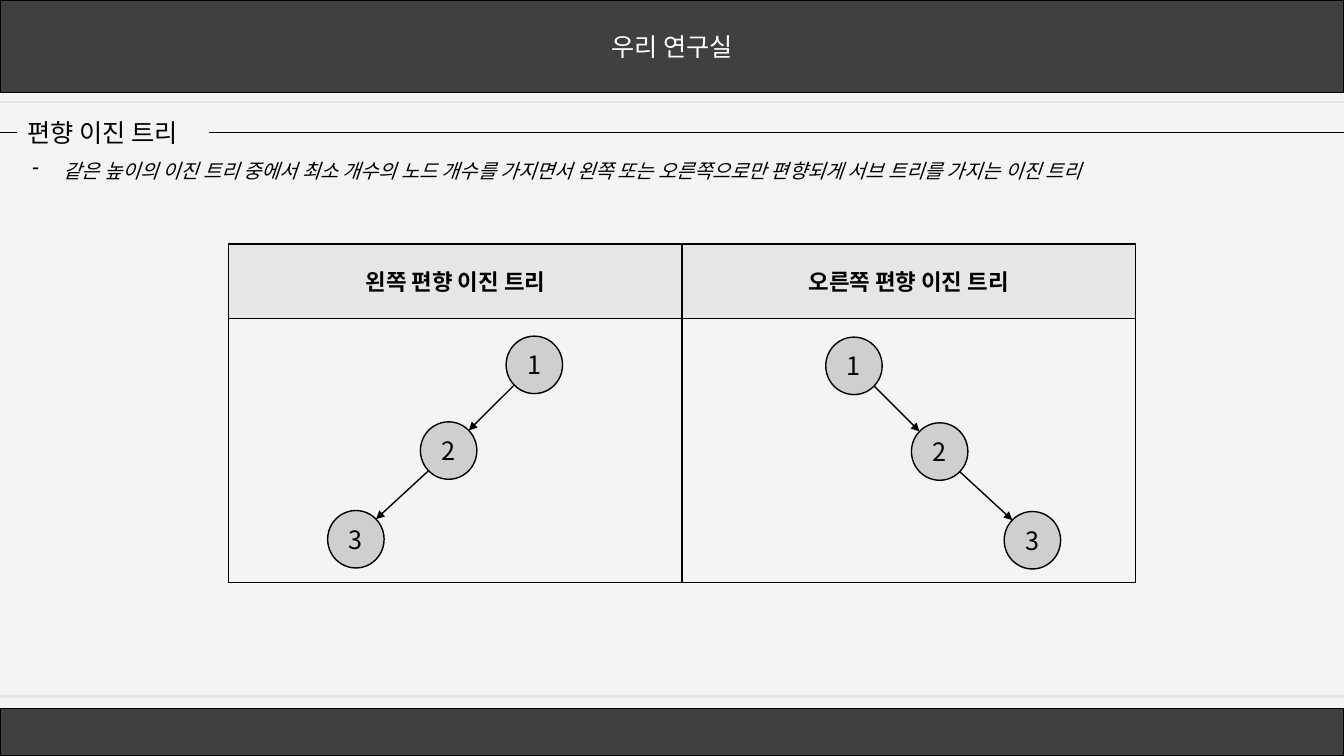
from itertools import pairwise

from lxml.etree import SubElement
from pptx import Presentation
from pptx.dml.color import RGBColor
from pptx.enum.shapes import MSO_CONNECTOR, MSO_SHAPE
from pptx.enum.text import MSO_ANCHOR, MSO_AUTO_SIZE, PP_ALIGN
from pptx.oxml.ns import qn
from pptx.util import Inches, Pt

FONT = "Noto Sans CJK KR"
COLORS = {
    "background": "F4F4F4",
    "bar": "404040",
    "rule": "E7E6E6",
    "header": "E7E6E6",
    "node": "D0CECE",
    "ink": "000000",
    "white": "FFFFFF",
}
SLIDE_WIDTH, SLIDE_HEIGHT = 13.33, 7.5
NODE_OFFSETS = [(0, 0), (0.85, 0.85), (1.77, 1.73)]
NODE_WIDTH, NODE_HEIGHT = 0.56, 0.57
EDGE_INSET = 0.2


def color(name):
    return RGBColor.from_string(COLORS[name])


def write(text_frame, text, size, align=PP_ALIGN.CENTER, ink="ink", bold=False, italic=False):
    text_frame.text = text
    paragraph = text_frame.paragraphs[0]
    paragraph.alignment = align
    paragraph.space_before = Pt(0)
    for run in paragraph.runs:
        run.font.name = FONT
        run.font.size = Pt(size)
        run.font.bold = bold
        run.font.italic = italic
        run.font.color.rgb = color(ink)
        SubElement(run.font._element, qn("a:ea"), typeface=FONT)
    return paragraph


def place(shape, left, top, width, height):
    shape.left, shape.top = Inches(left), Inches(top)
    shape.width, shape.height = Inches(width), Inches(height)
    shape.text_frame.word_wrap = True
    shape.text_frame.auto_size = MSO_AUTO_SIZE.NONE
    shape.text_frame.vertical_anchor = MSO_ANCHOR.MIDDLE


def add_box(slide, preset, fill, left, top, width, height):
    shape = slide.shapes.add_shape(
        preset, Inches(left), Inches(top), Inches(width), Inches(height)
    )
    shape.shadow.inherit = False
    shape.fill.solid()
    shape.fill.fore_color.rgb = color(fill)
    shape.line.color.rgb = color("ink")
    shape.line.width = Pt(1)
    shape.text_frame.vertical_anchor = MSO_ANCHOR.MIDDLE
    return shape


def add_line(slide, start, end, ink="ink", width=1, arrow=False):
    connector = slide.shapes.add_connector(
        MSO_CONNECTOR.STRAIGHT, *(Inches(value) for value in (*start, *end))
    )
    connector.line.color.rgb = color(ink)
    connector.line.width = Pt(width)
    if arrow:
        SubElement(connector.line._get_or_add_ln(), qn("a:tailEnd"), type="triangle")
    SubElement(connector._element.spPr, qn("a:effectLst"))


def add_bar(slide, top, height, rule_y, text=""):
    bar = add_box(slide, MSO_SHAPE.RECTANGLE, "bar", 0, top, SLIDE_WIDTH, height)
    if text:
        write(bar.text_frame, text, 18, ink="white")
    add_line(slide, (0, rule_y), (SLIDE_WIDTH, rule_y), "rule", 1.5)


def fill_heading(slide, left, top, width, height):
    title = slide.shapes.title
    place(title, left, top, width, height)
    write(title.text_frame, "편향 이진 트리", 18, PP_ALIGN.LEFT)
    middle = top + height / 2
    add_line(slide, (0, middle), (left, middle), width=0.5)
    add_line(slide, (left + width, middle), (SLIDE_WIDTH, middle), width=0.5)


def fill_definition(slide, left, top, width, height):
    body = slide.placeholders[1]
    place(body, left, top, width, height)
    paragraph = write(
        body.text_frame,
        "같은 높이의 이진 트리 중에서 최소 개수의 노드 개수를 가지면서 왼쪽 또는 오른쪽으로만 "
        "편향되게 서브 트리를 가지는 이진 트리",
        14, PP_ALIGN.LEFT, italic=True,
    )
    properties = paragraph._p.get_or_add_pPr()
    properties.set("marL", str(Inches(0.31)))
    properties.set("indent", str(Inches(-0.31)))
    SubElement(properties, qn("a:buFontTx"))
    SubElement(properties, qn("a:buChar"), char="-")


def add_cell_borders(cell):
    properties = cell._tc.get_or_add_tcPr()
    for side in ("lnL", "lnR", "lnT", "lnB"):
        border = SubElement(properties, qn(f"a:{side}"), w=str(Pt(1)))
        fill = SubElement(border, qn("a:solidFill"))
        SubElement(fill, qn("a:srgbClr"), val=COLORS["ink"])


def add_comparison_table(slide, left, top, width, row_heights):
    headers = ["왼쪽 편향 이진 트리", "오른쪽 편향 이진 트리"]
    table = slide.shapes.add_table(
        len(row_heights), len(headers), Inches(left), Inches(top),
        Inches(width), Inches(sum(row_heights)),
    ).table
    table.first_row = table.horz_banding = False
    for row, height in zip(table.rows, row_heights):
        row.height = Inches(height)
    for cell in table.iter_cells():
        add_cell_borders(cell)
        cell.fill.background()
    for column, header in enumerate(headers):
        cell = table.cell(0, column)
        cell.fill.solid()
        cell.fill.fore_color.rgb = color("header")
        cell.vertical_anchor = MSO_ANCHOR.MIDDLE
        write(cell.text_frame, header, 16, bold=True)


def add_skewed_tree(slide, root_x, root_y, direction):
    centers = [(root_x + direction * x, root_y + y) for x, y in NODE_OFFSETS]
    for number, (x, y) in enumerate(centers, 1):
        node = add_box(
            slide, MSO_SHAPE.OVAL, "node",
            x - NODE_WIDTH / 2, y - NODE_HEIGHT / 2, NODE_WIDTH, NODE_HEIGHT,
        )
        write(node.text_frame, str(number), 18)
    shift = direction * EDGE_INSET
    for (parent_x, parent_y), (child_x, child_y) in pairwise(centers):
        add_line(
            slide,
            (parent_x + shift, parent_y + EDGE_INSET),
            (child_x - shift, child_y - EDGE_INSET),
            arrow=True,
        )


def main():
    presentation = Presentation()
    presentation.slide_width = Inches(SLIDE_WIDTH)
    presentation.slide_height = Inches(SLIDE_HEIGHT)
    slide = presentation.slides.add_slide(presentation.slide_layouts[1])
    slide.background.fill.solid()
    slide.background.fill.fore_color.rgb = color("background")
    add_bar(slide, 0, 0.92, 1.01, "우리 연구실")
    add_bar(slide, 7.03, 0.47, 6.91)
    fill_heading(slide, 0.17, 1.11, 1.9, 0.4)
    fill_definition(slide, 0.22, 1.52, 11.96, 0.34)
    add_comparison_table(slide, 2.27, 2.42, 8.99, [0.74, 2.62])
    add_skewed_tree(slide, 5.3, 3.62, -1)
    add_skewed_tree(slide, 8.47, 3.63, 1)
    presentation.save("out.pptx")


if __name__ == "__main__":
    main()
